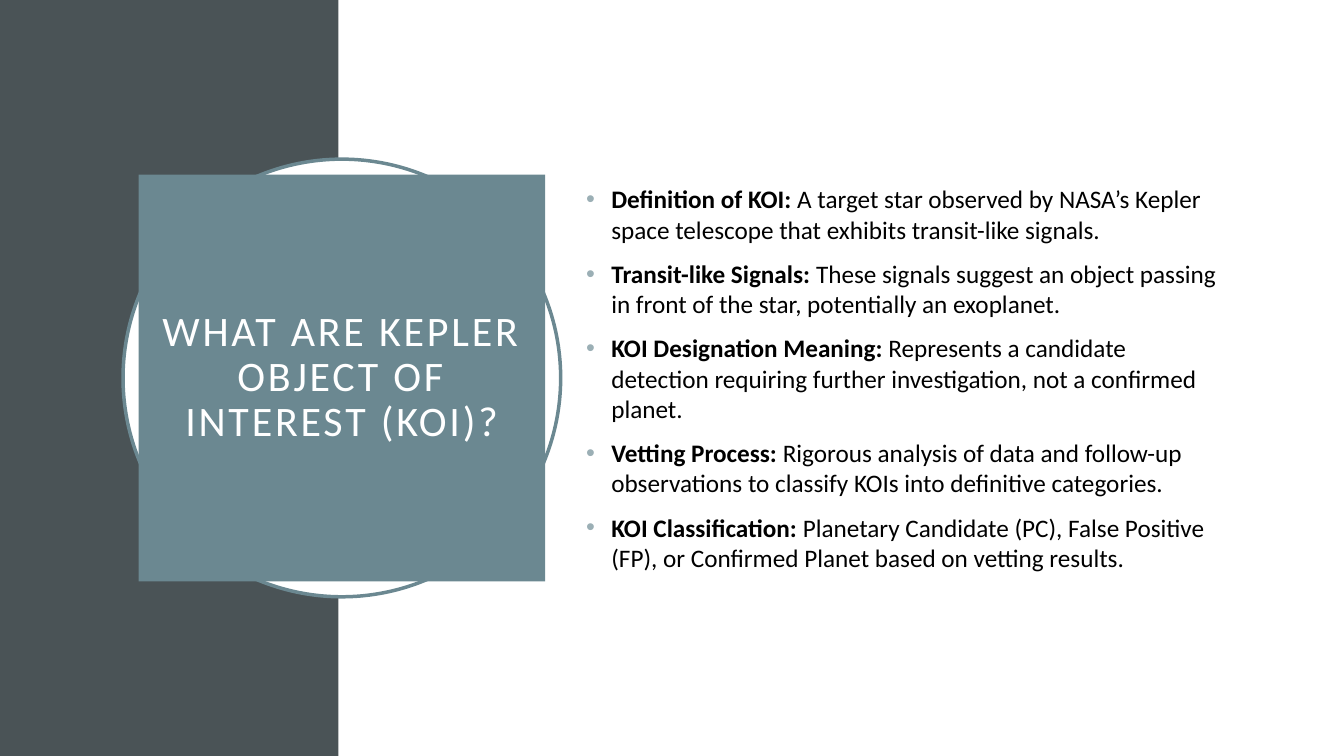
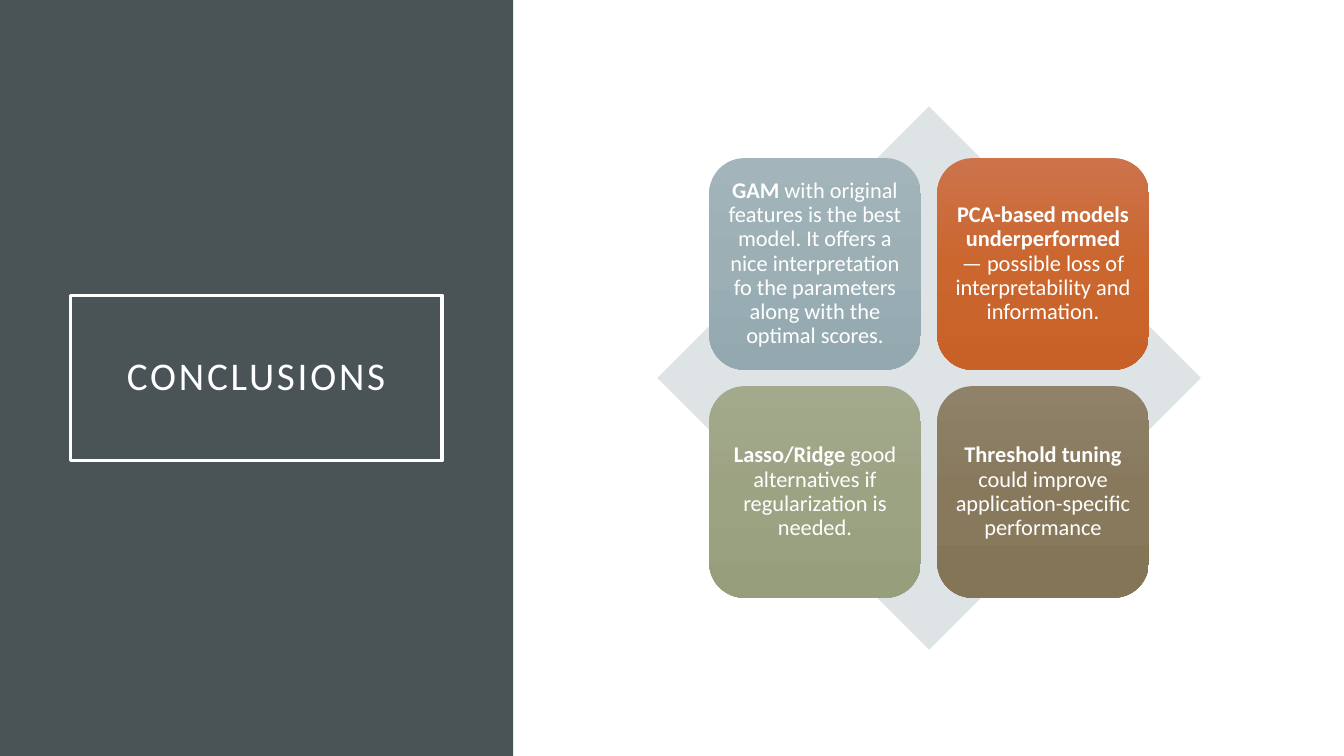
from copy import deepcopy

from lxml import etree
from pptx import Presentation
from pptx import util as u
from pptx.dml.color import RGBColor
from pptx.enum import shapes, text
from pptx.oxml.ns import qn

WHITE = RGBColor(0xFF, 0xFF, 0xFF)
BLACK = RGBColor(0x00, 0x00, 0x00)
SLATE = RGBColor(0x4A, 0x53, 0x56)
TEAL = RGBColor(0x6B, 0x88, 0x91)
MIST = RGBColor(0xDE, 0xE3, 0xE5)
BULLET = RGBColor(0x9B, 0xAF, 0xB5)

# Gradients from top to bottom
BLUE_GREY = BULLET_SHADES = (RGBColor(0xA3, 0xB5, 0xBB), BULLET, RGBColor(0x93, 0xA9, 0xAF))
ORANGE = (RGBColor(0xCC, 0x73, 0x4B), RGBColor(0xCB, 0x66, 0x2F), RGBColor(0xC8, 0x61, 0x28))
GREEN = (RGBColor(0xA3, 0xA9, 0x8C), RGBColor(0x9C, 0xA3, 0x83), RGBColor(0x97, 0x9E, 0x7C))
BROWN = (RGBColor(0x8F, 0x82, 0x69), RGBColor(0x88, 0x79, 0x5C), RGBColor(0x84, 0x75, 0x57))

# Square grid: 160 columns by 90 rows
COLUMNS, ROWS, MID_ROW = 160, 90, 45
CELL = u.Inches(7.5) / ROWS

KOI_FACTS = [
    ("Definition of KOI:", " A target star observed by NASA’s Kepler space telescope "
     "that exhibits transit-like signals."),
    ("Transit-like Signals: ", "These signals suggest an object passing in front of the star, "
     "potentially an exoplanet."),
    ("KOI Designation Meaning: ", "Represents a candidate detection requiring further "
     "investigation, not a confirmed planet."),
    ("Vetting Process: ", "Rigorous analysis of data and follow-up observations to classify "
     "KOIs into definitive categories."),
    ("KOI Classification: ", "Planetary Candidate (PC), False Positive (FP), or Confirmed "
     "Planet based on vetting results."),
]

CONCLUSIONS = [
    (BLUE_GREY, "GAM", " with original features is the best model. It offers a nice "
     "interpretation fo the parameters along with the optimal scores."),
    (ORANGE, "PCA-based models underperformed",
     " — possible loss of interpretability and information."),
    (GREEN, "Lasso/Ridge", " good alternatives if regularization is needed."),
    (BROWN, "Threshold tuning", " could improve application-specific performance"),
]


def assign(target, values):
    for name, value in values.items():
        setattr(target, name, value)


def centred(cx, width, height, cy=MID_ROW):
    """Left, top, width and height of a box around a grid point."""
    return [round(n * CELL) for n in (cx - width / 2, cy - height / 2, width, height)]


class Deck:
    FONT = "Calibri"

    def __init__(self):
        self.prs = Presentation()
        assign(self.prs, {"slide_width": round(COLUMNS * CELL),
                          "slide_height": round(ROWS * CELL)})
        self.slide = None

    def new_slide(self, panel_columns):
        self.slide = self.prs.slides.add_slide(self.prs.slide_layouts[5])
        self.shape("RECTANGLE", centred(panel_columns / 2, panel_columns, ROWS), SLATE)

    def paint(self, shape, fill=None, line=None):
        shape.shadow.inherit = False
        if fill is None:
            shape.fill.background()
        elif isinstance(fill, RGBColor):
            shape.fill.solid()
            shape.fill.fore_color.rgb = fill
        else:
            self.gradient(shape.fill, fill)
        if line is None:
            shape.line.fill.background()
        else:
            shape.line.color.rgb = line
            shape.line.width = u.Pt(2.5)

    def gradient(self, fill, colours):
        fill.gradient()
        fill.gradient_angle = 270
        stop_list = fill._fill._gradFill.find(qn("a:gsLst"))
        stop_list.append(deepcopy(stop_list[-1]))
        for i, (stop, colour) in enumerate(zip(fill.gradient_stops, colours)):
            stop.position = i / (len(colours) - 1)
            stop.color.rgb = colour

    def shape(self, kind, box, fill=None, line=None):
        shape = self.slide.shapes.add_shape(getattr(shapes.MSO_SHAPE, kind), *box)
        self.paint(shape, fill, line)
        return shape

    def frame(self, shape, inset_x, inset_y):
        assign(shape.text_frame, {
            "word_wrap": True, "auto_size": text.MSO_AUTO_SIZE.NONE,
            "vertical_anchor": text.MSO_ANCHOR.MIDDLE,
            "margin_left": u.Inches(inset_x), "margin_right": u.Inches(inset_x),
            "margin_top": u.Inches(inset_y), "margin_bottom": u.Inches(inset_y)})
        return shape.text_frame

    def run(self, paragraph, words, size, colour, bold=False):
        run = paragraph.add_run()
        run.text = words
        assign(run.font, {"name": self.FONT, "size": u.Pt(size), "bold": bold})
        run.font.color.rgb = colour
        return run

    def title(self, words, box, size, fill=None, line=None):
        title = self.slide.shapes.title
        assign(title, dict(zip(("left", "top", "width", "height"), box)))
        title.element.getparent().append(title.element)  # bring to front
        self.paint(title, fill, line)
        paragraph = self.frame(title, 0.2, 0.2).paragraphs[0]
        assign(paragraph, {"alignment": text.PP_ALIGN.CENTER, "line_spacing": 0.9})
        run = self.run(paragraph, words, size, WHITE)
        run.font._element.set("spc", "200")

    def bullet_list(self, items, box):
        frame = self.frame(self.slide.shapes.add_textbox(*box), 0.1, 0.05)
        for i, (lead, rest) in enumerate(items):
            paragraph = frame.add_paragraph() if i else frame.paragraphs[0]
            self.bullet(paragraph)
            paragraph.space_before = u.Pt(10 if i else 0)
            self.run(paragraph, lead, 18, BLACK, True)
            self.run(paragraph, rest, 18, BLACK)

    def bullet(self, paragraph):
        props = paragraph._p.get_or_add_pPr()
        indent = u.Inches(0.25)
        props.set("marL", str(indent))
        props.set("indent", str(-indent))
        colour = etree.SubElement(props, qn("a:buClr"))
        etree.SubElement(colour, qn("a:srgbClr")).set("val", str(BULLET))
        etree.SubElement(props, qn("a:buFont")).set("typeface", "Arial")
        etree.SubElement(props, qn("a:buChar")).set("char", "•")

    def tile(self, box, shades, lead, rest):
        tile = self.shape("ROUNDED_RECTANGLE", box, shades)
        paragraph = self.frame(tile, 0.07, 0.07).paragraphs[0]
        assign(paragraph, {"alignment": text.PP_ALIGN.CENTER, "line_spacing": 0.9})
        self.run(paragraph, lead, 16, WHITE, True)
        self.run(paragraph, rest, 16, WHITE)


def koi_slide(deck):
    deck.new_slide(40.3)
    badge_x = 40.7
    deck.shape("OVAL", centred(badge_x, 52.1, 52.1), WHITE, TEAL)
    deck.title("WHAT ARE KEPLER OBJECT OF INTEREST (KOI)?",
               centred(badge_x, 48.4, 48.4), 30, fill=TEAL)
    deck.bullet_list(KOI_FACTS, centred(107.8, 78.4, 58.7))


def conclusions_slide(deck):
    deck.new_slide(61.1)
    deck.title("CONCLUSIONS", centred(30.5, 44.2, 19.7), 28, line=WHITE)

    # Two by two tiles over a diamond
    matrix_x, tile_size, step = 110.6, 25.2, 27.15
    deck.shape("DIAMOND", centred(matrix_x, 64.7, 64.7), MIST)
    for i, conclusion in enumerate(CONCLUSIONS):
        row, column = divmod(i, 2)
        box = centred(matrix_x + (column - 0.5) * step, tile_size, tile_size,
                      MID_ROW + (row - 0.5) * step)
        deck.tile(box, *conclusion)


def main():
    deck = Deck()
    koi_slide(deck)
    conclusions_slide(deck)
    deck.prs.save("out.pptx")


if __name__ == "__main__":
    main()
